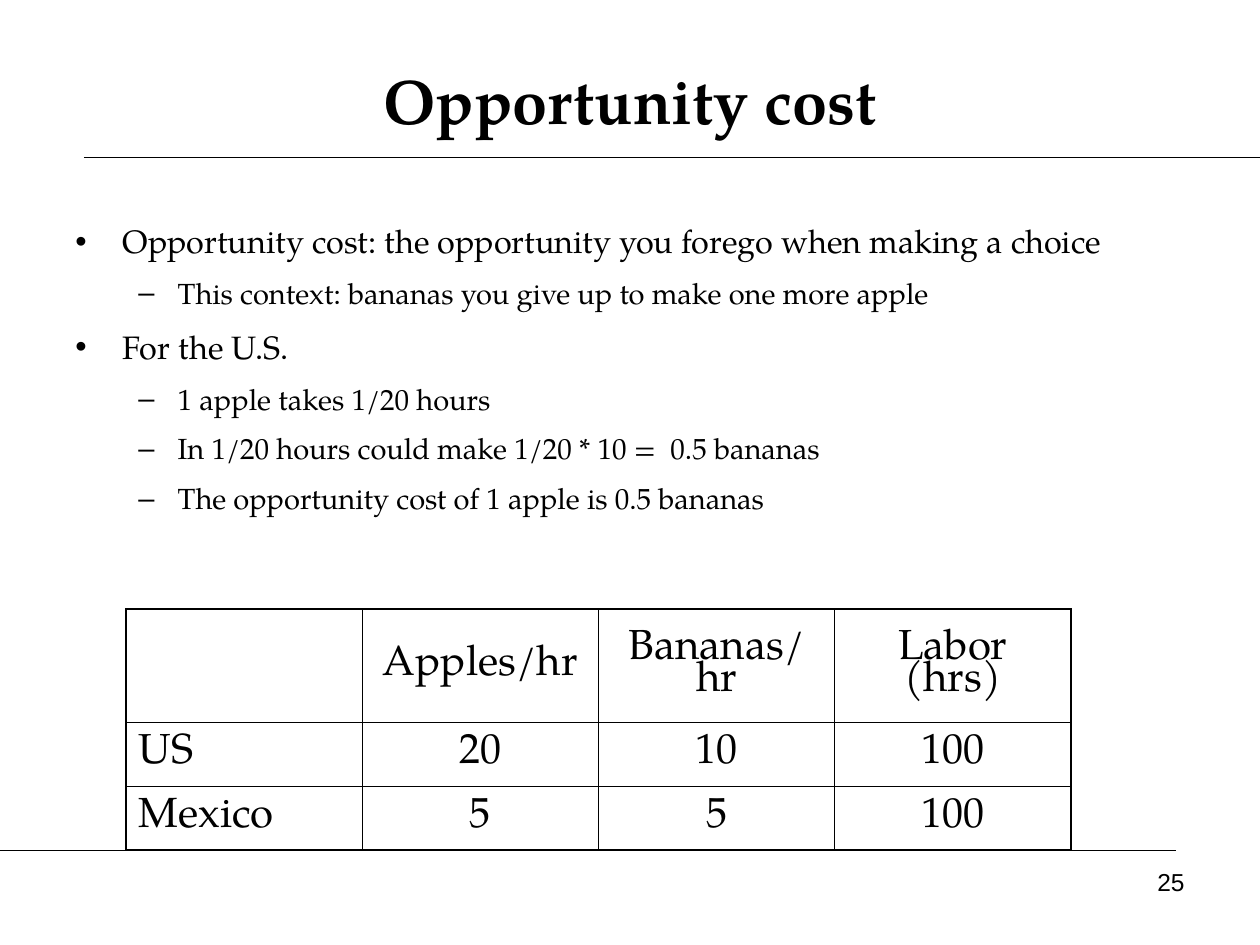
from lxml.etree import SubElement
from pptx import Presentation
from pptx.dml.color import RGBColor
from pptx.enum.shapes import MSO_CONNECTOR
from pptx.enum.text import MSO_ANCHOR, PP_ALIGN
from pptx.oxml.ns import qn
from pptx.util import Pt

BLACK = RGBColor(0, 0, 0)
WHITE = RGBColor(255, 255, 255)
SERIF = "TeX Gyre Pagella"
SANS = "Arial"
THIN, THICK = 0.45, 1.08

# level: (bullet, left margin, hanging indent, font size, space before)
LEVELS = {0: ("•", 27, 27, 18.5, 12.5), 1: ("–", 58.5, 22.5, 16.6, 11.2)}

POINTS = [
    (0, "Opportunity cost: the opportunity you forego when making a choice"),
    (1, "This context: bananas you give up to make one more apple"),
    (0, "For the U.S."),
    (1, "1 apple takes 1/20 hours"),
    (1, "In 1/20 hours could make 1/20 * 10 =  0.5 bananas"),
    (1, "The opportunity cost of 1 apple is 0.5 bananas"),
]

OUTPUT = [
    ["", "Apples/hr", "Bananas/hr", "Labor (hrs)"],
    ["US", "20", "10", "100"],
    ["Mexico", "5", "5", "100"],
]


class SlideWriter:
    """Draws styled elements on one slide, with lengths in points."""

    def __init__(self, slide):
        self.slide = slide

    def style(self, paragraph, size, face=SERIF, bold=False):
        font = paragraph.font
        font.name, font.size, font.bold = face, Pt(size), bold
        font.color.rgb = BLACK

    def frame(self, left, top, width, height, anchor=MSO_ANCHOR.TOP):
        box = self.slide.shapes.add_textbox(Pt(left), Pt(top), Pt(width), Pt(height))
        box.text_frame.word_wrap = True
        box.text_frame.vertical_anchor = anchor
        return box.text_frame

    def text(self, words, bounds, size, align, anchor=MSO_ANCHOR.TOP, **look):
        paragraph = self.frame(*bounds, anchor).paragraphs[0]
        paragraph.text, paragraph.alignment = words, align
        self.style(paragraph, size, **look)

    def bullets(self, points, bounds):
        frame = self.frame(*bounds)
        for index, (level, words) in enumerate(points):
            mark, margin, hanging, size, before = LEVELS[level]
            paragraph = frame.add_paragraph() if index else frame.paragraphs[0]
            paragraph.text, paragraph.level = words, level
            paragraph.line_spacing = 0.87
            paragraph.space_before = Pt(before if index else 0)
            properties = paragraph._p.get_or_add_pPr()
            properties.set("marL", str(Pt(margin)))
            properties.set("indent", str(-Pt(hanging)))
            SubElement(properties, qn("a:buFont"), typeface=SANS)
            SubElement(properties, qn("a:buChar"), char=mark)
            self.style(paragraph, size)

    def rule(self, start, end, y):
        line = self.slide.shapes.add_connector(
            MSO_CONNECTOR.STRAIGHT, Pt(start), Pt(y), Pt(end), Pt(y))
        line.line.color.rgb, line.line.width = BLACK, Pt(0.75)
        SubElement(line._element.spPr, qn("a:effectLst"))

    def borders(self, cell, outer):
        properties = cell._tc.get_or_add_tcPr()
        for side in ("L", "R", "T", "B"):
            width = THICK if side in outer else THIN
            edge = SubElement(properties, qn(f"a:ln{side}"), w=str(Pt(width)))
            fill = SubElement(edge, qn("a:solidFill"))
            SubElement(fill, qn("a:srgbClr"), val=str(BLACK))

    def table(self, rows, left, top, width, heights):
        last_row, last_column = len(rows) - 1, len(rows[0]) - 1
        table = self.slide.shapes.add_table(
            len(rows), len(rows[0]), Pt(left), Pt(top), Pt(width), Pt(sum(heights))).table
        table.first_row = table.horz_banding = False
        for column in table.columns:
            column.width = Pt(width / len(rows[0]))
        for r, row in enumerate(rows):
            table.rows[r].height = Pt(heights[r])
            for c, words in enumerate(row):
                cell = table.cell(r, c)
                outer = {"T": r == 0, "B": r == last_row, "L": c == 0, "R": c == last_column}
                self.borders(cell, [side for side, edge in outer.items() if edge])
                cell.fill.solid()
                cell.fill.fore_color.rgb = WHITE
                cell.vertical_anchor = MSO_ANCHOR.MIDDLE
                paragraph = cell.text_frame.paragraphs[0]
                paragraph.text = words
                paragraph.alignment = PP_ALIGN.CENTER if c else PP_ALIGN.LEFT
                paragraph.line_spacing = 0.75
                self.style(paragraph, 24)


def main():
    deck = Presentation()
    deck.slide_width, deck.slide_height = Pt(720), Pt(540)
    writer = SlideWriter(deck.slides.add_slide(deck.slide_layouts[6]))
    writer.rule(48, 720, 90)
    writer.rule(0, 672, 486)
    writer.text("Opportunity cost", (36, 24, 648, 66), 36, PP_ALIGN.CENTER,
                MSO_ANCHOR.MIDDLE, bold=True)
    writer.bullets(POINTS, (36, 126, 648, 198))
    writer.table(OUTPUT, 72, 348, 540, (64.8, 36.5, 36.5))
    writer.text("25", (516, 492, 168, 37), 14, PP_ALIGN.RIGHT, face=SANS)
    deck.save("out.pptx")


if __name__ == "__main__":
    main()
